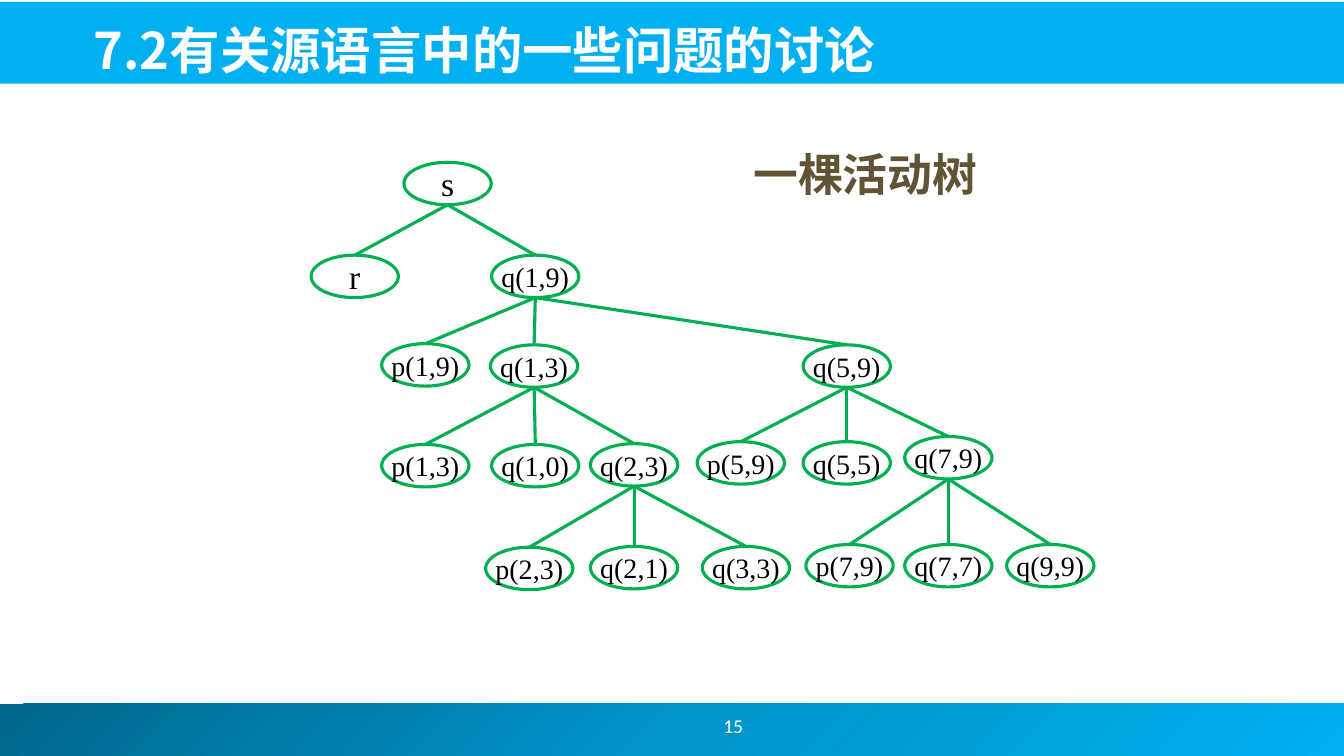
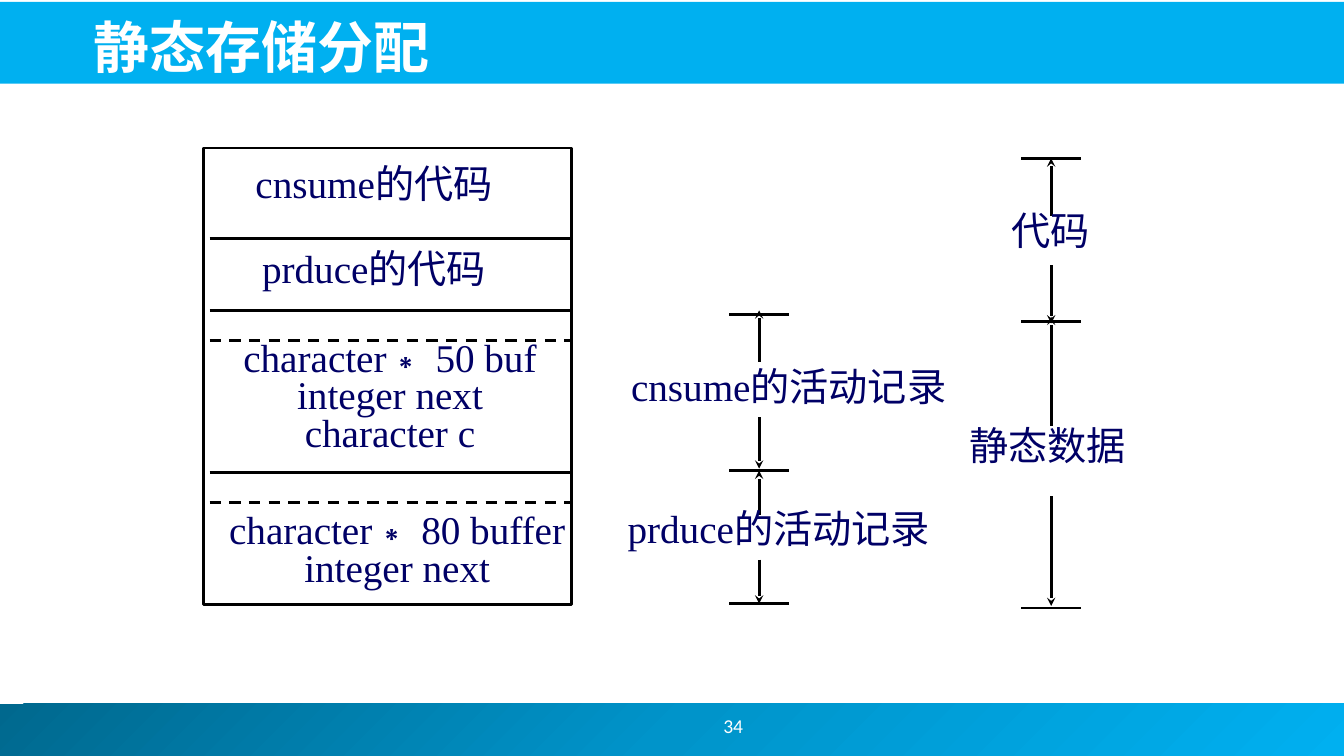
from copy import deepcopy
from dataclasses import dataclass

from pptx import Presentation
from pptx.dml.color import RGBColor as Rgb
from pptx.enum.dml import MSO_LINE as Dash
from pptx.enum.shapes import MSO_CONNECTOR as Link, MSO_SHAPE as Form
from pptx.enum.text import MSO_ANCHOR as Anchor, MSO_AUTO_SIZE as Fit, PP_ALIGN as Align
from pptx.oxml.ns import qn
from pptx.oxml.xmlchemy import OxmlElement as Node
from pptx.util import Cm, Pt


@dataclass(frozen=True)
class Theme:
    white: str = "FFFFFF"
    black: str = "000000"
    sky: str = "00B0F0"
    fade: tuple = ("00688E", "0094CA", "00B0F0")
    green: str = "00B050"
    brown: str = "605435"
    navy: str = "000066"
    serif: str = "Times New Roman"
    sans: str = "Arial"
    plain: str = "Calibri"
    asian: str = "Noto Sans CJK JP"
    page: int = 14
    call: int = 20
    root: int = 24
    label: int = 28
    head: int = 32
    edge: float = 2.25
    rule: float = 2


T = Theme()
WIDE, HIGH = 33.87, 19.05

# Activation tree: label, centre x, top y, children
TREE = ("s", 11.28, 4.09, [
    ("r", 8.94, 6.43, []),
    ("q(1,9)", 13.49, 6.43, [
        ("p(1,9)", 10.72, 8.66, []),
        ("q(1,3)", 13.46, 8.69, [
            ("p(1,3)", 10.72, 11.2, []),
            ("q(1,0)", 13.49, 11.2, []),
            ("q(2,3)", 15.98, 11.18, [
                ("p(2,3)", 13.34, 13.79, []),
                ("q(2,1)", 15.98, 13.77, []),
                ("q(3,3)", 18.8, 13.77, [])])]),
        ("q(5,9)", 21.34, 8.69, [
            ("p(5,9)", 18.67, 11.13, []),
            ("q(5,5)", 21.34, 11.13, []),
            ("q(7,9)", 23.9, 11, [
                ("p(7,9)", 21.41, 13.72, []),
                ("q(7,7)", 23.9, 13.72, []),
                ("q(9,9)", 26.47, 13.72, [])])])])])
OVAL_W, OVAL_H = 2.2, 1.07

# Storage map: text, left, top, width
NAMES = [
    ("cnsume的代码", 5.31, 3.78, 8.23),
    ("prduce的代码", 5.31, 5.92, 8.23),
    ("prduce的活动记录", 15.04, 12.47, 9.17),
    ("cnsume的活动记录", 15.14, 8.89, 9.47),
    ("静态数据", 23.93, 10.39, 4.95),
    ("代码", 24.92, 4.98, 3.12),
]
FIELDS = [
    ("character∗ 50 buf\ninteger next\ncharacter c", 5.08, 8.59, 9.5),
    ("character∗ 80 buffer\ninteger next", 5.08, 12.93, 9.86),
]
RULES = [(6.02, None), (7.82, None), (8.59, Dash.DASH),
         (11.91, None), (12.67, Dash.DASH)]
# Gauges: x, tick heights, arrows from y to y
GAUGES = [
    (19.13, (7.92, 11.86, 15.21),
     ((9.12, 7.82), (10.52, 11.81), (12.98, 11.86), (14.1, 15.21))),
    (26.49, (3.99, 8.1, 15.32),
     ((5.44, 3.99), (6.68, 8.15), (10.74, 7.98), (12.5, 15.27))),
]


def style(obj, form):
    for key, value in form.items():
        setattr(obj, key, value)


def hue(code):
    return Rgb.from_string(code)


def put(para, text, size, color, font=T.serif, bold=False):
    """Add a run with its Latin and East Asian fonts."""
    run = para.add_run()
    run.text = text
    style(run.font, {"size": Pt(size), "bold": bold, "name": font})
    run.font.color.rgb = hue(color)
    asian = Node("a:ea")
    asian.set("typeface", T.asian)
    run.font._element.append(asian)


def write(frame, text, size, color, space=1.0, **look):
    """Fill a frame with centred lines."""
    for i, line in enumerate(text.split("\n")):
        para = frame.add_paragraph() if i else frame.paragraphs[0]
        style(para, {"alignment": Align.CENTER, "line_spacing": space})
        put(para, line, size, color, **look)


def note(slide, text, box, size, color, form=None, **look):
    """Add a wrapped text box."""
    frame = slide.shapes.add_textbox(*map(Cm, box)).text_frame
    style(frame, {"word_wrap": True, **(form or {})})
    write(frame, text, size, color, **look)


def shape(slide, kind, box, line=None, width=0):
    item = slide.shapes.add_shape(kind, *map(Cm, box))
    item.shadow.inherit = False
    item.fill.background()
    if line:
        item.line.color.rgb = hue(line)
        item.line.width = Pt(width)
    else:
        item.line.fill.background()
    return item


def stroke(slide, start, end, color=T.black, width=T.rule, dash=None, arrow=False):
    item = slide.shapes.add_connector(Link.STRAIGHT, *map(Cm, (*start, *end)))
    item.line.color.rgb = hue(color)
    style(item.line, {"width": Pt(width), "dash_style": dash})
    if arrow:
        tip = Node("a:tailEnd")
        tip.set("type", "stealth")
        item.line._get_or_add_ln().append(tip)
    item.element.spPr.append(Node("a:effectLst"))


def bands(slide):
    """Draw the bands and hand them to the layout, behind its placeholders."""
    top = shape(slide, Form.RECTANGLE, (0, 0.05, WIDE, 2.06))
    top.fill.solid()
    top.fill.fore_color.rgb = hue(T.sky)
    foot = shape(slide, Form.RECTANGLE, (0, 17.73, WIDE, HIGH - 17.73))
    foot.fill.gradient()
    foot.fill.gradient_angle = 315
    stops = foot.element.find(".//" + qn("a:gsLst"))
    stops.append(deepcopy(stops[0]))
    for i, (stop, code) in enumerate(zip(foot.fill.gradient_stops, T.fade)):
        stop.color.rgb = hue(code)
        stop.position = i / 2
    for band in (top, foot):
        slide.slide_layout.shapes.element.insert(2, band.element)


def begin(deck, runs, size, page):
    """Add a slide with its title runs (text, font) and page number."""
    slide = deck.slides.add_slide(deck.slide_layouts[5])
    title = slide.shapes.title
    style(title, {"left": Cm(2.11), "top": Cm(0.13),
                  "width": Cm(30), "height": Cm(2.01)})
    style(title.text_frame, {"vertical_anchor": Anchor.BOTTOM,
                             "auto_size": Fit.NONE, "word_wrap": True})
    para = title.text_frame.paragraphs[0]
    para.alignment = Align.LEFT
    for text, font in runs:
        put(para, text, size, T.white, font, True)
    note(slide, page, (14.81, 17.65, 7.34, 1.27), T.page, T.white,
         {"vertical_anchor": Anchor.MIDDLE}, font=T.plain)
    return slide


def grow(slide, node):
    """Draw a call and, below it, the calls it makes."""
    text, x, y, kids = node
    oval = shape(slide, Form.OVAL, (x - OVAL_W / 2, y, OVAL_W, OVAL_H),
                 T.green, T.edge)
    style(oval.text_frame, {"word_wrap": False, "vertical_anchor": Anchor.MIDDLE})
    write(oval.text_frame, text, T.root if len(text) == 1 else T.call, T.black)
    for kid in kids:
        stroke(slide, (x, y + OVAL_H), kid[1:3], T.green, T.edge)
        grow(slide, kid)


def gauge(slide, x, ticks, arrows, half=0.75):
    for y in ticks:
        stroke(slide, (x - half, y), (x + half, y))
    for start, end in arrows:
        stroke(slide, (x, start), (x, end), arrow=True)


def store(slide):
    """Draw the storage map with its rows and gauges."""
    shape(slide, Form.RECTANGLE, (5.13, 3.73, 9.27, 11.51), T.black, T.rule)
    for y, dash in RULES:
        stroke(slide, (5.28, y), (14.4, y), dash=dash)
    for spot in GAUGES:
        gauge(slide, *spot)
    for text, *box in NAMES:
        note(slide, text, (*box, 1.83), T.label, T.navy,
             {"margin_top": Cm(0.23), "margin_bottom": Cm(0.13)})
    for text, *box in FIELDS:
        note(slide, text, (*box, 2.2), T.label, T.navy,
             {"margin_top": Cm(0.03), "margin_bottom": Cm(0.03)}, space=0.8)


def main():
    deck = Presentation()
    style(deck, {"slide_width": Cm(WIDE), "slide_height": Cm(HIGH)})

    calls = begin(deck, [("7.2", T.asian), ("有关源语言中的一些问题的讨论", T.serif)],
                  36, "15")
    bands(calls)
    note(calls, "一棵活动树", (16.54, 3.56, 10.54, 1.63), T.head, T.brown,
         font=T.sans, bold=True)
    grow(calls, TREE)

    store(begin(deck, [("静态存储分配", T.serif)], 40, "34"))
    deck.save("out.pptx")


if __name__ == "__main__":
    main()
